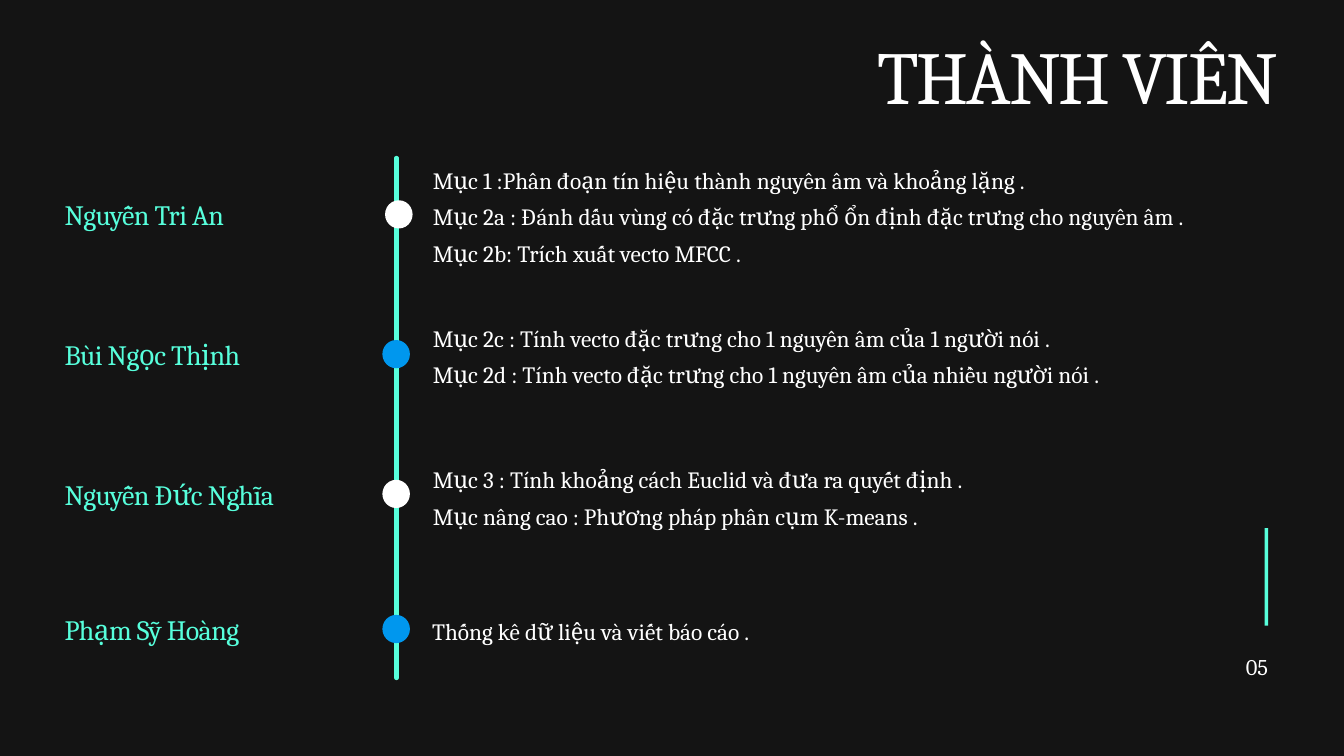
from pptx import Presentation
from pptx.dml.color import RGBColor
from pptx.enum.shapes import MSO_CONNECTOR, MSO_SHAPE
from pptx.enum.text import PP_ALIGN
from pptx.oxml.ns import qn
from pptx.util import Inches, Pt
from lxml.etree import SubElement

COLORS = {"background": "141414", "mint": "57FFDC", "blue": "0097EE", "white": "FFFFFF"}
FONT = "Cambria"

# name, row top, marker left, marker colour, tasks (left, top, width), tasks
MEMBERS = [
    ("Nguyễn Tri An", 2.9, 5.73, "white", (6.44, 2.34, 12.97), [
        "Mục 1 :Phân đoạn tín hiệu thành nguyên âm và khoảng lặng .",
        "Mục 2a : Đánh dấu vùng có đặc trưng phổ ổn định đặc trưng cho nguyên âm .",
        "Mục 2b: Trích xuất vecto MFCC ."]),
    ("Bùi Ngọc Thịnh", 4.98, 5.69, "blue", (6.44, 4.69, 11.44), [
        "Mục 2c : Tính vecto đặc trưng cho 1 nguyên âm của 1 người nói .",
        "Mục 2d : Tính vecto đặc trưng cho 1 nguyên âm của nhiều người nói ."]),
    ("Nguyễn Đức Nghĩa", 7.06, 5.69, "white", (6.44, 6.8, 11.44), [
        "Mục 3 : Tính khoảng cách Euclid và đưa ra quyết định .",
        "Mục nâng cao : Phương pháp phân cụm K-means ."]),
    ("Phạm Sỹ Hoàng", 9.07, 5.69, "blue", (6.43, 9.06, 10.34), [
        "Thống kê dữ liệu và viết báo cáo ."]),
]


def rgb(name):
    return RGBColor.from_string(COLORS[name])


def add_text(slide, box, lines, size, leading, color="white", align=PP_ALIGN.LEFT, tracking=0):
    """Tracking is the letter spacing in points."""
    frame = slide.shapes.add_textbox(*map(Inches, box)).text_frame
    frame.word_wrap = True
    frame.margin_left = frame.margin_top = frame.margin_right = frame.margin_bottom = 0
    frame.text = "\n".join(lines)
    for paragraph in frame.paragraphs:
        paragraph.alignment = align
        paragraph.line_spacing = Pt(leading)
        for run in paragraph.runs:
            run.font.name = FONT
            run.font.size = Pt(size)
            run.font.color.rgb = rgb(color)
            if tracking:
                run.font._element.set("spc", str(round(tracking * 100)))


def add_filled(slide, preset, box, color):
    shape = slide.shapes.add_shape(preset, *map(Inches, box))
    shape.shadow.inherit = False
    shape.fill.solid()
    shape.fill.fore_color.rgb = rgb(color)
    shape.line.fill.background()


def add_page_mark(slide, left, top):
    add_filled(slide, MSO_SHAPE.RECTANGLE, (left + 0.62, top, 0.05, 1.45), "mint")
    add_text(slide, (left, top + 1.89, 0.67, 0.38), ["05"], 24, 26.6, align=PP_ALIGN.RIGHT)


def add_timeline_axis(slide, x, top, bottom):
    axis = slide.shapes.add_connector(
        MSO_CONNECTOR.STRAIGHT, Inches(x), Inches(bottom), Inches(x), Inches(top))
    axis.line.color.rgb = rgb("mint")
    axis.line.width = Pt(4.5)
    axis.line._get_or_add_ln().set("cap", "rnd")
    SubElement(axis._element.spPr, qn("a:effectLst"))


def add_member(slide, name, top, marker_left, marker_color, tasks_box, tasks):
    add_text(slide, (0.96, top, 4.22, 0.54), [name], 30, 39, "mint", tracking=-0.6)
    add_filled(slide, MSO_SHAPE.OVAL, (marker_left, top + 0.08, 0.41, 0.42), marker_color)
    height = max(1.06, 0.54 * len(tasks))
    add_text(slide, (*tasks_box, height), tasks, 25, 39.2, align=PP_ALIGN.JUSTIFY)


def main():
    deck = Presentation()
    deck.slide_width, deck.slide_height = Inches(20), Inches(11.25)
    slide = deck.slides.add_slide(deck.slide_layouts[6])
    slide.background.fill.solid()
    slide.background.fill.fore_color.rgb = rgb("background")

    add_page_mark(slide, 18.2, 7.86)
    add_text(slide, (11.6, 0.54, 7.42, 1.25), ["THÀNH VIÊN"], 80, 88.8,
             align=PP_ALIGN.RIGHT, tracking=-2.4)
    add_timeline_axis(slide, 5.9, 2.35, 10.09)
    for member in MEMBERS:
        add_member(slide, *member)
    deck.save("out.pptx")


if __name__ == "__main__":
    main()
